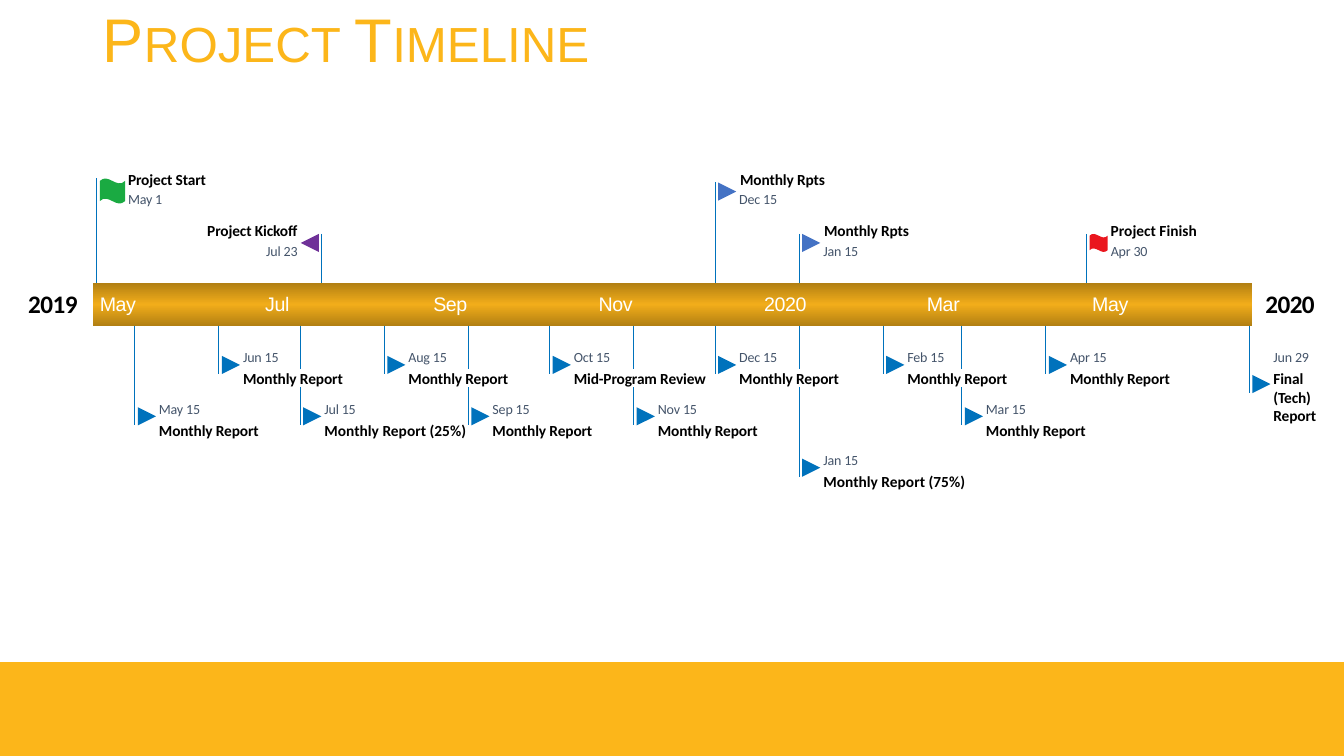
from copy import deepcopy
from itertools import accumulate

from lxml import etree
from pptx import Presentation
from pptx import util as u
from pptx.dml.color import RGBColor
from pptx.enum import shapes, text
from pptx.oxml.ns import qn

THEME = {
    "gold": "FCB61A", "bar_edge": "B28013", "bar_middle": "F2AD1A",
    "rule": "0072BC", "ink": "000000", "date": "44546A", "white": "FFFFFF",
    "start": "1AAA42", "finish": "EA161E", "kickoff": "6F3198",
    "monthly": "4472C4", "report": "0072BC",
    "title_size": 44, "year_size": 18, "month_size": 14,
    "name_size": 11, "date_size": 10,
    "heading_font": "Arial", "label_font": "Calibri",
}
ALIGN = text.PP_ALIGN
ANCHOR = text.MSO_ANCHOR
SHAPE = shapes.MSO_SHAPE

# Time scale: one column per day, one row per tier of milestones
WIDTH, HEIGHT = 13.33, 7.5
BAR_LEFT, BAR_TOP, BAR_WIDTH, BAR_HEIGHT = 0.92, 2.81, 11.5, 0.42
BAR_BOTTOM = BAR_TOP + BAR_HEIGHT
FIRST_DAY, DAY = 0.96, 11.43 / 425
TIER = 0.51
FLAG = 0.18
MONTH_LENGTHS = [31, 30, 31, 31, 30, 31, 30, 31, 31, 29, 31, 30, 31]
MONTH_STARTS = list(accumulate(MONTH_LENGTHS, initial=0))

deck = Presentation()
deck.slide_width, deck.slide_height = u.Inches(WIDTH), u.Inches(HEIGHT)
page = deck.slides.add_slide(deck.slide_layouts[5])


def write(words, left, top, width, height, *, size, color, font="label_font",
          bold=False, align=ALIGN.LEFT, anchor=ANCHOR.MIDDLE, inset=0,
          spacing=-10, line_spacing=None, caps=None, box=None):
    area = [u.Inches(length) for length in (left, top, width, height)]
    box = box or page.shapes.add_textbox(*area)
    box.left, box.top, box.width, box.height = area
    frame = box.text_frame
    frame.word_wrap = True
    frame.auto_size = text.MSO_AUTO_SIZE.NONE
    frame.vertical_anchor = anchor
    frame.margin_left = frame.margin_right = u.Inches(inset)
    frame.margin_top = frame.margin_bottom = u.Inches(inset / 2)
    para = frame.paragraphs[0]
    para.alignment = align
    para.line_spacing = line_spacing
    span = para.add_run()
    span.text = words
    span.font.name = THEME[font]
    span.font.size = u.Pt(THEME[size])
    span.font.bold = bold
    span.font.color.rgb = RGBColor.from_string(THEME[color])
    properties = span.font._element
    properties.set("spc", str(spacing))
    if caps:
        properties.set("cap", caps)


def draw(kind, left, top, width, height, color):
    shape = page.shapes.add_shape(
        kind, *[u.Inches(length) for length in (left, top, width, height)])
    shape.shadow.inherit = False
    shape.fill.solid()
    shape.fill.fore_color.rgb = RGBColor.from_string(THEME[color])
    shape.line.fill.background()
    return shape


# Footer band and title
draw(SHAPE.RECTANGLE, 0, 6.57, WIDTH, HEIGHT - 6.57, "gold")
write("Project Timeline", BAR_LEFT, 0.04, BAR_WIDTH, 1.45, size="title_size",
      color="gold", font="heading_font", anchor=ANCHOR.TOP, inset=0.1,
      spacing=0, line_spacing=0.9, caps="small", box=page.shapes.title)

# Time bar, shaded from dark edges to a bright middle
bar = draw(SHAPE.RECTANGLE, BAR_LEFT, BAR_TOP, BAR_WIDTH, BAR_HEIGHT, "bar_middle")
bar.fill.gradient()
bar.fill.gradient_angle = 90
edge, middle = bar.fill.gradient_stops
edge.color.rgb = RGBColor.from_string(THEME["bar_edge"])
middle.color.rgb = RGBColor.from_string(THEME["bar_middle"])
middle.position = 0.5
stops = bar._element.spPr.find(qn("a:gradFill")).find(qn("a:gsLst"))
last_stop = deepcopy(stops[0])
last_stop.set("pos", "100000")
stops.append(last_stop)

# Years at both ends, and every second month on the bar
for year, left in [("2019", 0.28), ("2020", 12.55)]:
    write(year, left, 2.86, 0.49, 0.31, size="year_size", color="ink",
          bold=True, align=ALIGN.CENTER, spacing=-40)
for index, month in enumerate(["May", "Jul", "Sep", "Nov", "2020", "Mar", "May"]):
    write(month, FIRST_DAY + MONTH_STARTS[2 * index] * DAY + 0.03, 2.9, 0.5, 0.22,
          size="month_size", color="white", font="heading_font", spacing=-30)

# Milestones: month counted from May 2019, date, name, name width,
# tier (negative above the bar), kind
milestones = [
    (0, "May 1", "Project Start", 0.86, -2, "start"),
    (2, "Jul 23", "Project Kickoff", 0.92, -1, "kickoff"),
    (7, "Dec 15", "Monthly Rpts", 0.86, -2, "monthly"),
    (8, "Jan 15", "Monthly Rpts", 0.86, -1, "monthly"),
    (11, "Apr 30", "Project Finish", 0.9, -1, "finish"),
    (0, "May 15", "Monthly Report", 1.01, 2, "report"),
    (1, "Jun 15", "Monthly Report", 1.01, 1, "report"),
    (2, "Jul 15", "Monthly Report (25%)", 1.42, 2, "report"),
    (3, "Aug 15", "Monthly Report", 1.01, 1, "report"),
    (4, "Sep 15", "Monthly Report", 1.01, 2, "report"),
    (5, "Oct 15", "Mid-Program Review", 1.33, 1, "report"),
    (6, "Nov 15", "Monthly Report", 1.01, 2, "report"),
    (7, "Dec 15", "Monthly Report", 1.01, 1, "report"),
    (8, "Jan 15", "Monthly Report (75%)", 1.42, 3, "report"),
    (9, "Feb 15", "Monthly Report", 1.01, 1, "report"),
    (10, "Mar 15", "Monthly Report", 1.01, 2, "report"),
    (11, "Apr 15", "Monthly Report", 1.01, 1, "report"),
    (13, "Jun 29", "Final (Tech) Report", 0.44, 1, "report"),
]
for month, date, name, name_width, tier, kind in milestones:
    day = MONTH_STARTS[month] + int(date.split()[1]) - 1
    x = FIRST_DAY + day * DAY
    above = tier < 0
    final = month == 13
    row_top = 2.83 + tier * TIER if above else 3.53 + (tier - 1) * TIER
    flag_top, flag_size = row_top, FLAG
    if kind == "start":
        flag_top, flag_size = row_top - 0.04, 0.25
    elif final:
        flag_top += 0.19

    # Rule between bar and flag, broken where a label of the first tier crosses it
    if above:
        pieces = [(flag_top, BAR_TOP)]
    elif tier > 1 and month > 0:
        pieces = [(BAR_BOTTOM, 3.66), (3.84, flag_top + FLAG)]
    else:
        pieces = [(BAR_BOTTOM, flag_top + FLAG)]
    for begin, end in pieces:
        rule = page.shapes.add_connector(
            shapes.MSO_CONNECTOR.STRAIGHT, u.Inches(x), u.Inches(begin),
            u.Inches(x), u.Inches(end))
        rule.line.color.rgb = RGBColor.from_string(THEME["rule"])
        rule.line.width = u.Pt(0.75)
        etree.SubElement(rule._element.spPr, qn("a:effectLst"))

    # Flag, pointing away from its rule
    leftward = kind == "kickoff"
    waving = kind in ("start", "finish")
    flag = draw(SHAPE.WAVE if waving else SHAPE.FLOWCHART_MERGE,
                x - 0.03 - FLAG if leftward else x + 0.03,
                flag_top, flag_size, flag_size, kind)
    if waving:
        flag.adjustments[0] = 0.1
    else:
        flag.rotation = 90 if leftward else 270

    # Name and date; the date sits nearer the bar
    label_left = x + flag_size + 0.06
    date_width = 0.45
    name_left = x - 0.24 - name_width if leftward else label_left
    date_left = x - 0.24 - date_width if leftward else label_left
    side = ALIGN.RIGHT if leftward else ALIGN.LEFT
    write(name, name_left, row_top + (-0.13 if above else 0.13), name_width,
          0.56 if final else 0.19, size="name_size", color="ink", bold=True,
          align=ALIGN.CENTER if kind == "monthly" else side,
          spacing=0 if "%" in name or kind == "finish" else -10)
    write(date, date_left, row_top + (0.08 if above else -0.07), date_width, 0.17,
          size="date_size", color="date", align=side)

deck.save("out.pptx")
